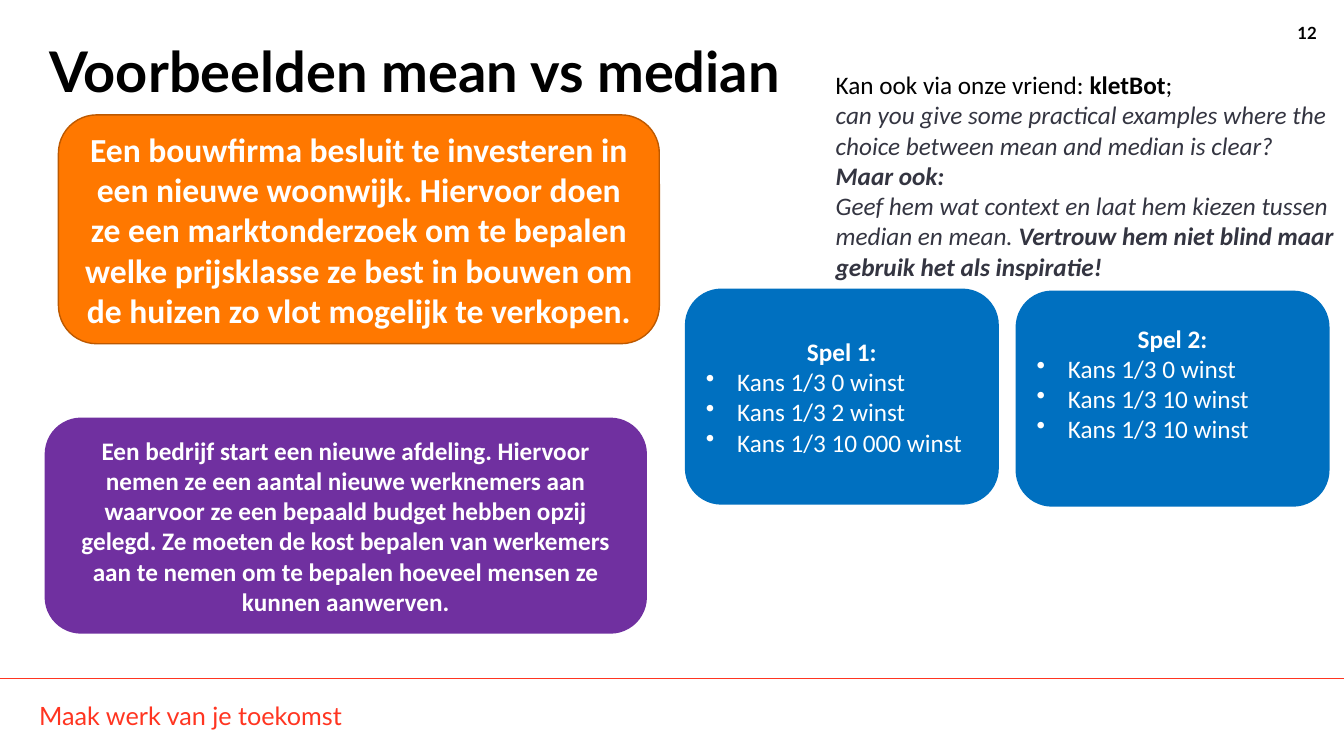
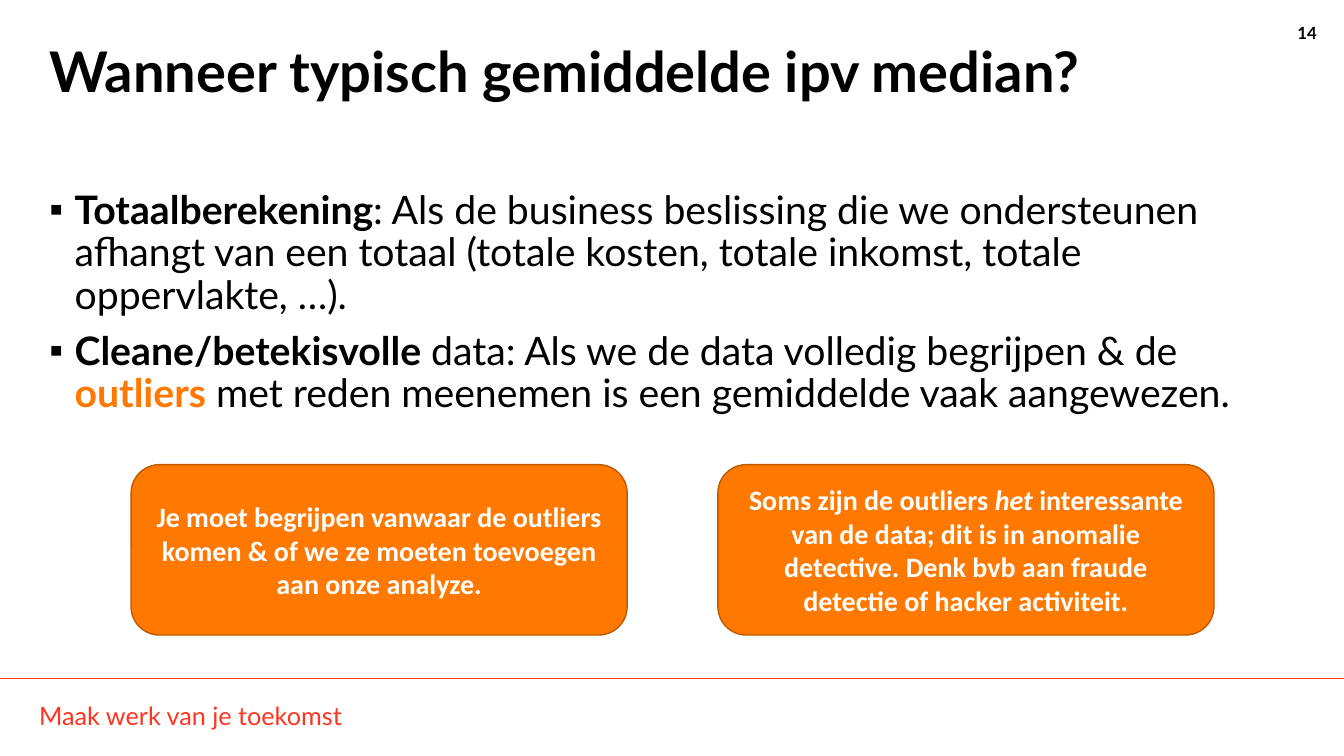
"""Build two slides on choosing between mean and median."""
from lxml import etree
from pptx import Presentation
from pptx.dml.color import RGBColor
from pptx.enum.shapes import MSO_CONNECTOR, MSO_SHAPE
from pptx.enum.text import MSO_ANCHOR, MSO_AUTO_SIZE, PP_ALIGN
from pptx.oxml.ns import qn
from pptx.util import Pt

PX = 9144
LEFT, CENTER, RIGHT = PP_ALIGN.LEFT, PP_ALIGN.CENTER, PP_ALIGN.RIGHT
TOP, MIDDLE = MSO_ANCHOR.TOP, MSO_ANCHOR.MIDDLE
ROUNDED = MSO_SHAPE.ROUNDED_RECTANGLE
STRAIGHT = MSO_CONNECTOR.STRAIGHT
NO_AUTOFIT = MSO_AUTO_SIZE.NONE
COLORS = {
    "black": "000000", "white": "FFFFFF", "red": "FF3521", "gray": "343541",
    "orange": "FF7800", "brown": "BD5900", "blue": "0070C0", "purple": "7030A0",
}


def write(sp, paragraphs, font, size, color, align=LEFT, anchor=TOP):
    """Fill a shape with paragraphs of (text, style, colour) runs; a leading mark makes a bullet."""
    tf = sp.text_frame
    tf.word_wrap = True
    tf.auto_size = NO_AUTOFIT
    tf.vertical_anchor = anchor
    for i, runs in enumerate(paragraphs):
        p = tf.paragraphs[0] if i == 0 else tf.add_paragraph()
        p.alignment = align
        if isinstance(runs[0], str):
            mark, indent, *runs = runs
            p.alignment = LEFT
            pPr = p._p.get_or_add_pPr()
            pPr.set("marL", str(indent * PX))
            pPr.set("indent", str(-indent * PX))
            etree.SubElement(pPr, qn("a:buChar")).set("char", mark)
        for text, style, *own in runs:
            r = p.add_run()
            r.text = text
            r.font.name = font
            r.font.size = Pt(size)
            r.font.bold = "b" in style
            r.font.italic = "i" in style
            r.font.color.rgb = RGBColor.from_string(COLORS[own[0] if own else color])


def add_card(slide, box, fill, line, size, paragraphs):
    """Add a rounded card with centred white text."""
    sp = slide.shapes.add_shape(ROUNDED, *[v * PX for v in box])
    sp.shadow.inherit = False
    sp.fill.solid()
    sp.fill.fore_color.rgb = RGBColor.from_string(COLORS[fill])
    sp.line.color.rgb = RGBColor.from_string(COLORS[line])
    sp.line.width = Pt(1)
    write(sp, paragraphs, "Calibri", size, "white", CENTER, MIDDLE)
    return sp


prs = Presentation()
prs.slide_width, prs.slide_height = 1333 * PX, 750 * PX

slides = []
for layout, number, title in [
    (5, "12", "Voorbeelden mean vs median"),
    (1, "14", "Wanneer typisch gemiddelde ipv median?"),
]:
    slide = prs.slides.add_slide(prs.slide_layouts[layout])
    slides.append(slide)
    sp = slide.shapes.title
    sp.left, sp.top, sp.width, sp.height = [v * PX for v in (39, 39, 1228, 145)]
    write(sp, [[(title, "b")]], "Lato", 40, "black")
    sp.text_frame.paragraphs[0].line_spacing = 0.9

    rule = slide.shapes.add_connector(STRAIGHT, 0, 673 * PX, 1333 * PX, 673 * PX)
    rule.line.color.rgb = RGBColor.from_string(COLORS["red"])
    rule.line.width = Pt(0.5)
    etree.SubElement(rule._element.spPr, qn("a:effectLst"))

    for text, box, size, style, color, align in [
        ("Maak werk van je toekomst", (29, 690, 850, 40), 18, "", "red", LEFT),
        (number, (1267, 18, 49, 30), 12, "b", "black", RIGHT),
    ]:
        sp = slide.shapes.add_textbox(*[v * PX for v in box])
        write(sp, [[(text, style)]], "Lato", size, color, align)

examples, rules = slides

add_card(examples, (58, 114, 596, 227), "orange", "brown", 24, [[(
    "Een bouwfirma besluit te investeren in een nieuwe woonwijk. Hiervoor doen ze een "
    "marktonderzoek om te bepalen welke prijsklasse ze best in bouwen om de huizen zo "
    "vlot mogelijk te verkopen.", "b")]])

for name, x, y, prizes, bottom in [
    ("Spel 1:", 680, 287, ("0", "2", "10 000"), 5),
    ("Spel 2:", 1008, 289, ("0", "10", "10"), 35),
]:
    chances = [["•", 31, (f"Kans 1/3 {prize} winst", "")] for prize in prizes]
    sp = add_card(examples, (x, y, 310, 213), "blue", "blue", 18, [[(name, "b")]] + chances)
    sp.text_frame.margin_bottom = bottom * PX

add_card(examples, (45, 415, 596, 213), "purple", "purple", 18, [[(
    "Een bedrijf start een nieuwe afdeling. Hiervoor nemen ze een aantal nieuwe "
    "werknemers aan waarvoor ze een bepaald budget hebben opzij gelegd. Ze moeten de "
    "kost bepalen van werkemers aan te nemen om te bepalen hoeveel mensen ze kunnen "
    "aanwerven.", "b")]])

sp = examples.shapes.add_textbox(*[v * PX for v in (819, 64, 515, 222)])
write(sp, [
    [("Kan ook via onze vriend: ", "", "black"), ("kletBot", "b", "black"), (";", "", "black")],
    [("can you give some practical examples where the choice between mean and median "
      "is clear?", "i")],
    [("Maar ook:", "bi")],
    [("Geef hem wat context en laat hem kiezen tussen median en mean. ", "i"),
     ("Vertrouw hem niet blind maar gebruik het als inspiratie!", "bi")],
], "Calibri", 18, "gray")

body = rules.placeholders[1]
body.left, body.top, body.width, body.height = [v * PX for v in (39, 184, 1231, 421)]
write(body, [
    ["▪", 25, ("Totaalberekening", "b"),
     (": Als de business beslissing die we ondersteunen afhangt van een totaal (totale "
      "kosten, totale inkomst, totale oppervlakte, …).", "")],
    ["▪", 25, ("Cleane/betekisvolle", "b"),
     (" data: Als we de data volledig begrijpen & de ", ""), ("outliers", "b", "orange"),
     (" met reden meenemen is een gemiddelde vaak aangewezen.", "")],
], "Lato", 28, "black")
for p in body.text_frame.paragraphs:
    p.line_spacing = 0.9
    p.space_before = Pt(10)

for x, runs in [
    (130, [("Je moet begrijpen vanwaar de outliers komen & of we ze moeten toevoegen aan "
            "onze analyze.", "b")]),
    (712, [("Soms zijn de outliers ", "b"), ("het ", "bi"),
           ("interessante van de data; dit is in anomalie detective. Denk bvb aan fraude "
            "detectie of hacker activiteit.", "b")]),
]:
    add_card(rules, (x, 461, 492, 169), "orange", "brown", 20, [runs])

prs.save("out.pptx")
